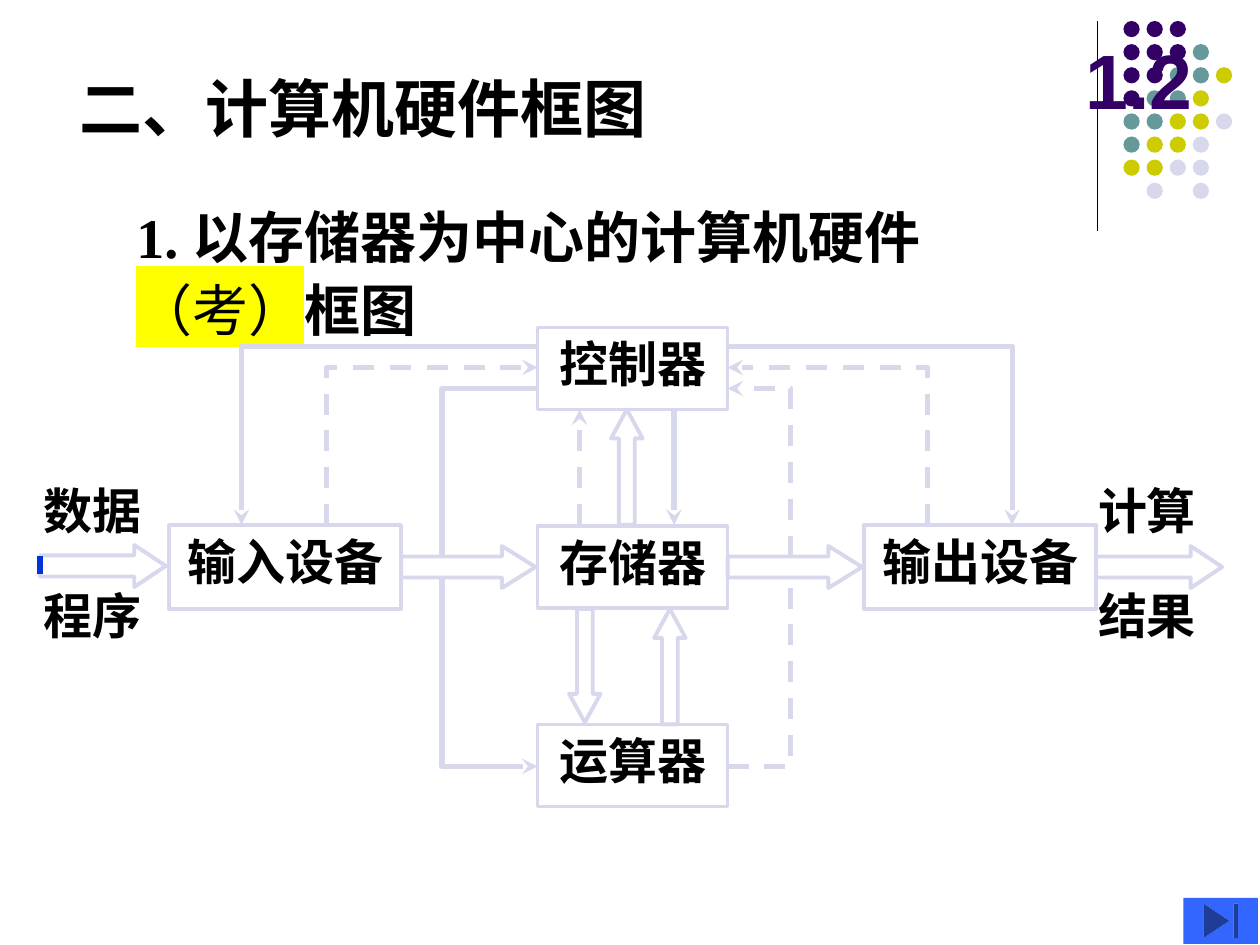
from dataclasses import dataclass
from lxml.etree import SubElement
from pptx import Presentation
from pptx.dml.color import RGBColor
from pptx.enum.dml import MSO_LINE
from pptx.enum.shapes import MSO_CONNECTOR, MSO_SHAPE
from pptx.enum.text import MSO_ANCHOR, PP_ALIGN
from pptx.oxml.ns import qn
from pptx.util import Emu, Inches, Pt


@dataclass(frozen=True)
class Theme:
    ink: str = "000000"
    pale: str = "D8D8EC"
    plum: str = "330066"
    teal: str = "669999"
    lime: str = "CCCC00"
    mark: str = "FFFF00"
    blue: str = "0033D8"
    button: str = "3366FF"
    han: str = "Noto Sans CJK SC"
    sans: str = "Arial"
    serif: str = "Times New Roman"
    head: int = 36
    body: int = 32
    label: int = 28
    number: int = 44


T = Theme()
UNIT = Inches(1) // 12  # the slide is 120 columns by 90 rows


@dataclass(frozen=True)
class Box:
    col: float
    row: float
    wide: float
    high: float

    def sub(self, col, row, wide=0, high=0):
        return Box(self.col + col, self.row + row, wide, high)

    def emu(self):
        return [Emu(round(v * UNIT)) for v in (self.col, self.row, self.wide, self.high)]


def style(run, size, font=T.han, color=T.ink, bold=True):
    run.font.size, run.font.bold, run.font.name = Pt(size), bold, font
    run.font.color.rgb = RGBColor.from_string(color)
    SubElement(run.font._element, qn("a:ea")).set("typeface", T.han)


def write(shape, text, size, align=PP_ALIGN.LEFT, anchor=MSO_ANCHOR.TOP, wrap=True, **look):
    frame = shape.text_frame
    frame.text, frame.word_wrap, frame.vertical_anchor = text, wrap, anchor
    para = frame.paragraphs[0]
    para.alignment = align
    style(para.runs[0], size, **look)
    return para


def note(slide, box, text, size, **look):
    return write(slide.shapes.add_textbox(*box.emu()), text, size, **look)


def draw(slide, box, kind, fill=None, line=None, width=2.25):
    shape = slide.shapes.add_shape(kind, *box.emu())
    shape.shadow.inherit = False
    if fill:
        shape.fill.solid()
        shape.fill.fore_color.rgb = RGBColor.from_string(fill)
    else:
        shape.fill.background()
    if line:
        shape.line.color.rgb = RGBColor.from_string(line)
        shape.line.width = Pt(width)
    else:
        shape.line.fill.background()
    return shape


def trace(slide, box, points, dash=False, tip=False, color=T.pale, width=3):
    """Straight line for two points, bent line for more."""
    spots = [tuple(box.sub(*p).emu()[:2]) for p in points]
    if len(spots) == 2:
        shape = slide.shapes.add_connector(MSO_CONNECTOR.STRAIGHT, *spots[0], *spots[1])
    else:
        pen = slide.shapes.build_freeform(*spots[0], scale=1.0)
        pen.add_line_segments(spots[1:], close=False)
        shape = pen.convert_to_shape()
        shape.fill.background()
        shape.shadow.inherit = False
    shape.line.color.rgb = RGBColor.from_string(color)
    shape.line.width = Pt(width)
    if dash:
        shape.line.dash_style = MSO_LINE.DASH
    props = shape._element.spPr
    if tip:
        SubElement(props.find(qn("a:ln")), qn("a:tailEnd")).set("type", "stealth")
    if len(spots) == 2:
        SubElement(props, qn("a:effectLst"))


def corner(slide, box):
    # Rule, dot pattern and section number
    trace(slide, box, [(0, 0), (0, box.high)], color=T.ink, width=0.75)
    hues = {"P": T.plum, "T": T.teal, "Y": T.lime, "L": T.pale}
    rows = ["PPP", "PPPT", "PPTTY", "PTTY", "TTYYL", "TYYL", "YYLL", ".L.L"]
    for j, row in enumerate(rows):
        for i, key in enumerate(row):
            if key in hues:
                spot = box.sub(2.5 + 2.2 * i, 2.2 * j, 1.55, 1.55)
                draw(slide, spot, MSO_SHAPE.OVAL, fill=hues[key])
    note(slide, box.sub(-3.5, 0, 15, 11), "1.2", T.number, font=T.sans, color=T.plum,
         align=PP_ALIGN.CENTER, anchor=MSO_ANCHOR.MIDDLE)


def heading(slide, box):
    title = slide.shapes.title
    title.left, title.top, title.width, title.height = box.emu()
    write(title, "二、计算机硬件框图", T.head)


def topic(slide, box):
    # Subheading; the spacing keeps the highlight clear of the first line
    para = note(slide, box, "1. 以存储器为中心的计算机硬件", T.body, font=T.serif)
    para.line_spacing = 1.08
    for text, font, bold in [("（考）", T.sans, False), ("框图", T.serif, True)]:
        run = para.add_run()
        run.text = text
        style(run, T.body, font, bold=bold)
        if not bold:
            light = SubElement(run.font._element, qn("a:highlight"))
            SubElement(light, qn("a:srgbClr")).set("val", T.mark)
            run.font._element.find(qn("a:solidFill")).addnext(light)


def diagram(slide, box):
    left, right = 51.2, 69.3  # edges of the middle column
    mid = right - left
    # Units
    units = [("存储器", left, 20.1, mid, 7.8), ("输出设备", 82.3, 20, 22.1, 8),
             ("输入设备", 16.1, 20, 22.1, 8), ("运算器", left, 39, mid, 7.8),
             ("控制器", left, 1.2, mid, 7.8)]
    for text, *place in units:
        unit = draw(slide, box.sub(*place), MSO_SHAPE.RECTANGLE, line=T.pale, width=2)
        write(unit, text, T.label, align=PP_ALIGN.CENTER)
    # Data flow: column, row, width, height, length of head, turn
    flows = [(3.8, 21.9, 12, 4, 0.75, 0), (38.2, 22, 12.8, 4, 0.8, 0),
             (right, 22, 12.8, 4, 0.8, 0), (104.4, 22, 12, 4, 0.75, 0),
             (58.2, 9, 3, 11, 0.92, 0), (62.3, 28, 3, 11, 0.92, 0),
             (54.2, 28, 3, 10.8, 0.91, 180)]
    for *place, head, turn in flows:
        kind = MSO_SHAPE.RIGHT_ARROW if place[2] > place[3] else MSO_SHAPE.UP_ARROW
        arrow = draw(slide, box.sub(*place), kind, line=T.pale)
        arrow.adjustments[0], arrow.adjustments[1] = 0.5, head
        arrow.rotation = turn
    # Signals: points, dashed, arrowhead
    signals = [
        ([(42.1, 23), (42.1, 7), (left, 7)], False, False),
        ([(55.2, 20), (55.2, 9)], True, True),
        ([(64.2, 9), (64.2, 20)], False, True),
        ([(42.1, 25), (42.1, 43), (left, 43)], False, True),
        ([(right, 43), (75.3, 43), (75.3, 25)], True, False),
        ([(75.3, 23), (75.3, 7), (right, 7)], True, True),
        ([(31.1, 20), (31.1, 5), (left, 5)], True, True),
        ([(left, 3), (23, 3), (23, 20)], False, True),
        ([(88.3, 20), (88.3, 5), (right, 5)], True, True),
        ([(right, 3), (96.4, 3), (96.4, 20)], False, True)]
    for points, dash, tip in signals:
        trace(slide, box, points, dash, tip)
    # Words at both ends
    for col, pair in [(3, ("数据", "程序")), (103.4, ("计算", "结果"))]:
        for row, text in zip((15.2, 25.2), pair):
            note(slide, box.sub(col, row, 11.8, 6.8), text, T.label, wrap=False)
    trace(slide, box, [(3.8, 23), (3.8, 24.7)], color=T.blue)


def main():
    deck = Presentation()
    deck.slide_width, deck.slide_height = Inches(10), Inches(7.5)
    slide = deck.slides.add_slide(deck.slide_layouts[5])
    corner(slide, Box(104.5, 2, 13, 20))
    heading(slide, Box(6.4, 6, 84.6, 8.4))
    topic(slide, Box(11.8, 18.2, 88.7, 14.2))
    diagram(slide, Box(0, 30, 120, 48))
    draw(slide, Box(112.7, 85.5, 7.1, 4.4), MSO_SHAPE.ACTION_BUTTON_END, fill=T.button)
    deck.save("out.pptx")


if __name__ == "__main__":
    main()
